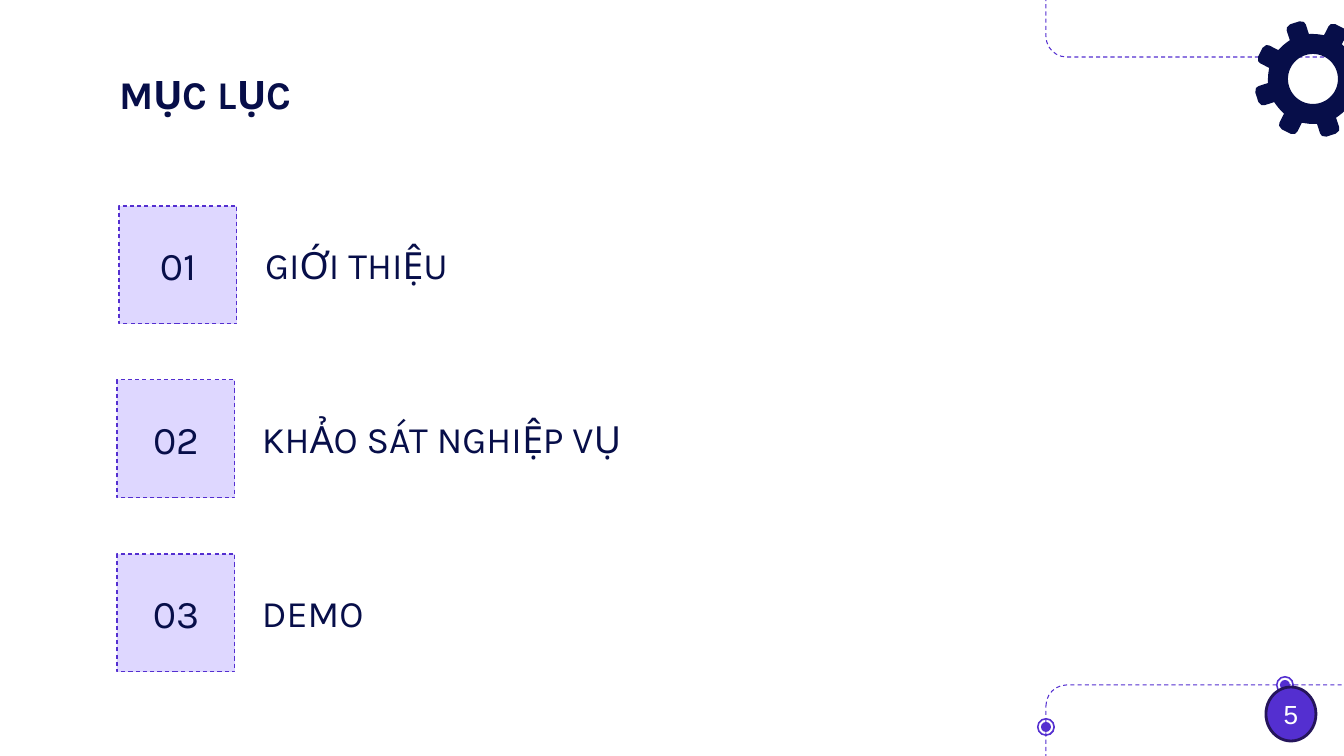
from math import cos, radians, sin

from lxml import etree
from pptx import Presentation
from pptx.dml.color import RGBColor
from pptx.enum.dml import MSO_LINE
from pptx.enum.shapes import MSO_SHAPE
from pptx.enum.text import MSO_ANCHOR, PP_ALIGN
from pptx.util import Pt

DASH = MSO_LINE.DASH
RECTANGLE, ROUNDED = MSO_SHAPE.RECTANGLE, MSO_SHAPE.ROUNDED_RECTANGLE
OVAL, DONUT = MSO_SHAPE.OVAL, MSO_SHAPE.DONUT
TOP, MIDDLE = MSO_ANCHOR.TOP, MSO_ANCHOR.MIDDLE
LEFT, CENTER = PP_ALIGN.LEFT, PP_ALIGN.CENTER

NAVY, PURPLE, LILAC, PLUM, WHITE = "070E49", "542FD0", "DED7FF", "25155B", "FFFFFF"

TITLE = "MỤC LỤC"
PAGE_NUMBER = "5"
SECTIONS = [
    ("01", "GIỚI THIỆU", 119, 252),
    ("02", "KHẢO SÁT NGHIỆP VỤ", 117, 249),
    ("03", "DEMO", 117, 249),
]
FIRST_ROW, ROW_PITCH, SQUARE, LABEL_WIDTH = 206, 174, 118, 388

FRAMES = [(1046, -65, 352, 122), (1046, 685, 352, 122)]
NODES = [(1285, 685), (1046, 727)]
RING, DOT = 18, 10

GEAR_CENTER = (1313, 79)
GEAR_TEETH, GEAR_TURN = 8, -18
GEAR_BODY, GEAR_HOLE = 45, 25
TOOTH = [(44, -10), (54, -10), (57, -9), (59, -5), (59, 5), (57, 9), (54, 10), (44, 10)]
TOOTH_GAP = (17, 22, 28)


def px(length):
    return round(length * 914400 / 100.8)


def color(value):
    return RGBColor.from_string(value)


def style(shape, fill=None, line=None, weight=0.75, dash=None):
    shape.shadow.inherit = False
    if fill:
        shape.fill.solid()
        shape.fill.fore_color.rgb = color(fill)
    else:
        shape.fill.background()
    if line:
        shape.line.color.rgb = color(line)
        shape.line.width = Pt(weight)
        shape.line.dash_style = dash
    else:
        shape.line.fill.background()


def add_shape(kind, left, top, width, height, **look):
    shape = page.shapes.add_shape(kind, px(left), px(top), px(width), px(height))
    style(shape, **look)
    return shape


def write(shape, text, size, font="Karla", ink=NAVY, bold=False,
          align=LEFT, anchor=MIDDLE, margin=13):
    frame = shape.text_frame
    frame.word_wrap = True
    frame.vertical_anchor = anchor
    frame.margin_left = frame.margin_right = px(margin)
    frame.margin_top = frame.margin_bottom = px(margin)
    para = frame.paragraphs[0]
    para.text = text
    para.alignment = align
    para.font.name = font
    para.font.size = Pt(size)
    para.font.bold = bold
    para.font.color.rgb = color(ink)


def add_text(left, top, width, height, text, size, **look):
    box = page.shapes.add_textbox(px(left), px(top), px(width), px(height))
    write(box, text, size, **look)


def gear_point(radius, degrees, across=0):
    angle = radians(degrees)
    x = GEAR_CENTER[0] + radius * cos(angle) - across * sin(angle)
    y = GEAR_CENTER[1] + radius * sin(angle) + across * cos(angle)
    return px(x), px(y)


def add_gear():
    step = 360 // GEAR_TEETH
    rim = []
    for turn in range(GEAR_TURN, GEAR_TURN + 360, step):
        rim += [gear_point(out, turn, across) for out, across in TOOTH]
        rim += [gear_point(GEAR_BODY, turn + gap) for gap in TOOTH_GAP]
    hole = [gear_point(GEAR_HOLE, turn) for turn in range(0, -360, -6)]
    builder = page.shapes.build_freeform(*rim[0], scale=1.0)
    builder.add_line_segments(rim[1:], close=True)
    builder.move_to(*hole[0])
    builder.add_line_segments(hole[1:], close=True)
    style(builder.convert_to_shape(), fill=NAVY)


deck = Presentation()
deck.slide_width, deck.slide_height = px(1344), px(756)
page = deck.slides.add_slide(deck.slide_layouts[6])

for bounds in FRAMES:
    add_shape(ROUNDED, *bounds, line=PURPLE, dash=DASH).adjustments[0] = 0.17

for x, y in NODES:
    add_shape(OVAL, x - DOT / 2, y - DOT / 2, DOT, DOT, fill=PURPLE)
    ring = add_shape(DONUT, x - RING / 2, y - RING / 2, RING, RING, fill=PURPLE)
    ring.adjustments[0] = 0.09

add_gear()
add_text(106, 57, 1132, 87, TITLE, 28, bold=True, anchor=TOP)

for row, (number, label, square_left, label_left) in enumerate(SECTIONS):
    top = FIRST_ROW + row * ROW_PITCH
    square = add_shape(RECTANGLE, square_left, top, SQUARE, SQUARE,
                       fill=LILAC, line=PURPLE, dash=DASH)
    write(square, number, 28, align=CENTER)
    add_text(label_left, top, LABEL_WIDTH, SQUARE, label, 26.7)

badge = add_shape(OVAL, 1266, 687, 50, 54, fill=PURPLE, line=PLUM, weight=2)
write(badge, PAGE_NUMBER, 18.7, font="Arial", ink=WHITE, align=CENTER, margin=0)

deck.save("out.pptx")
